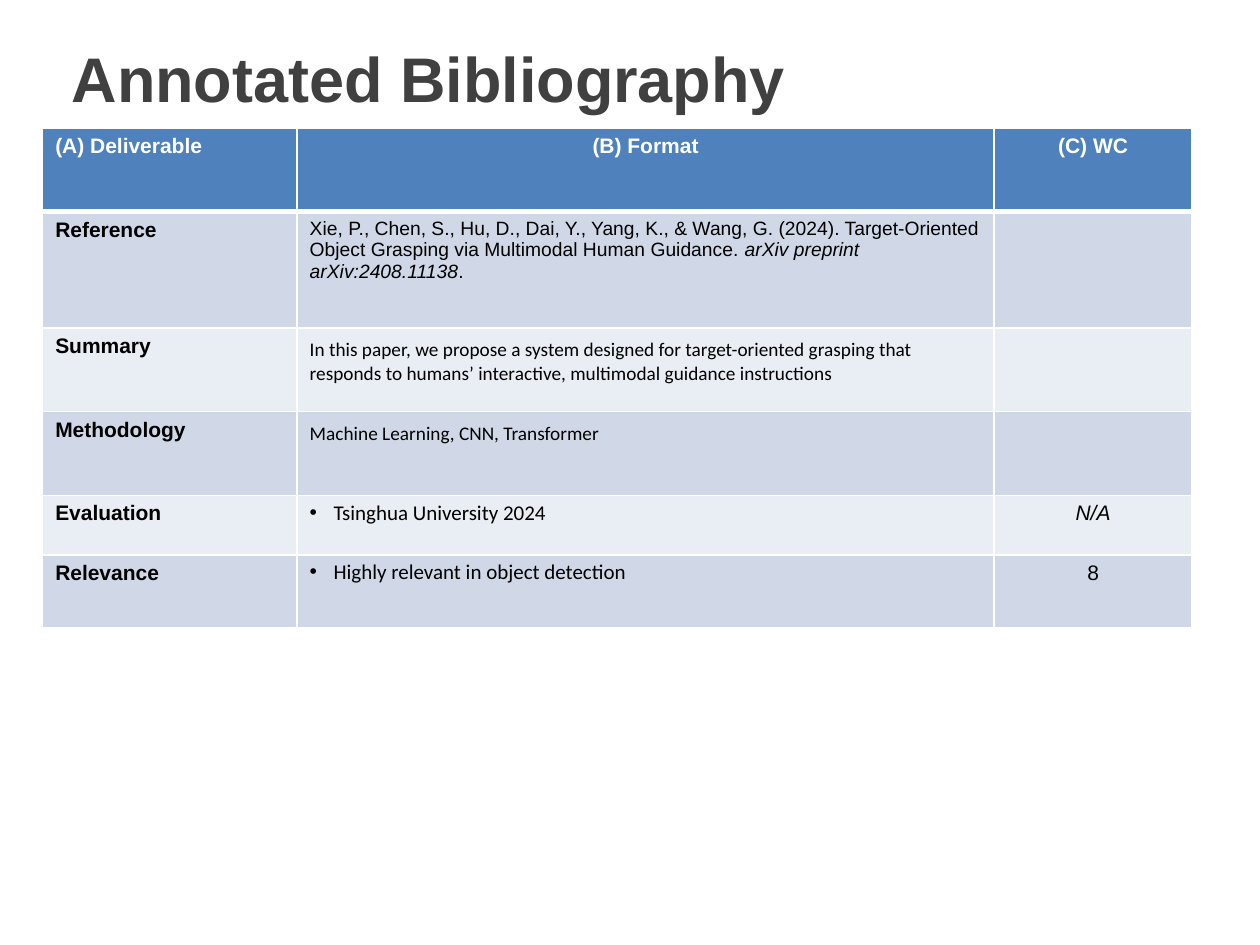
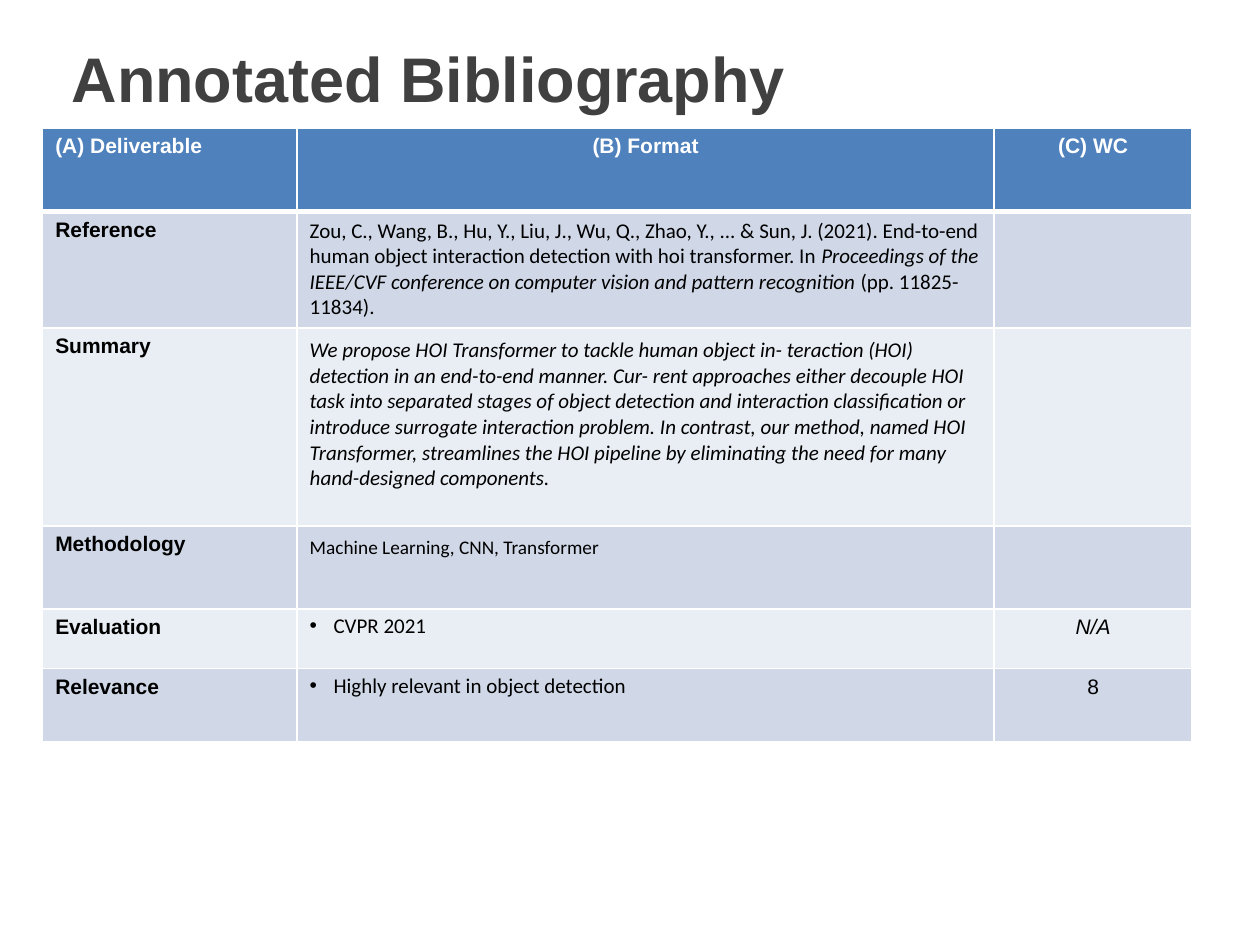
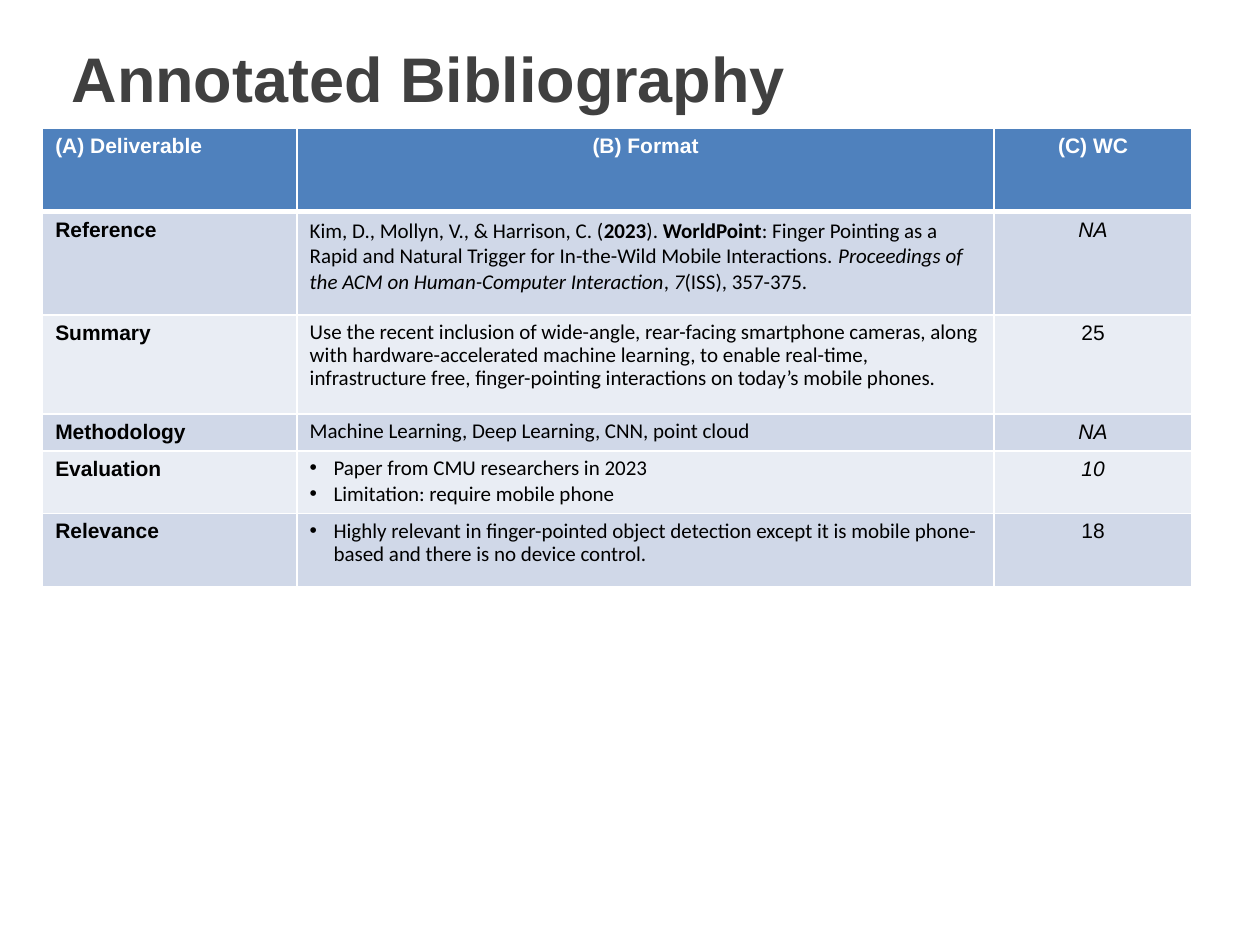
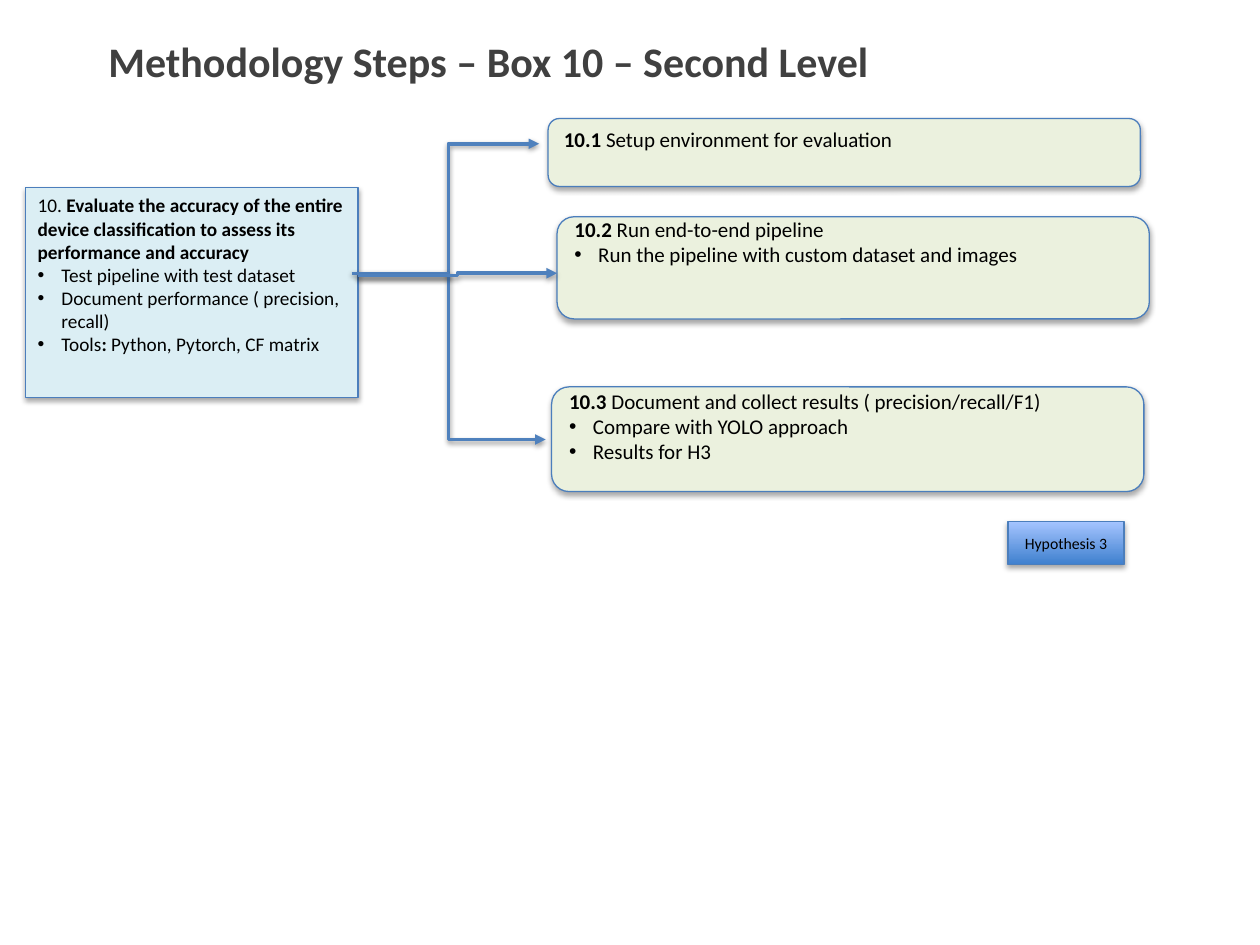
from pptx import Presentation
from pptx import util as u
from pptx.dml.color import RGBColor
from pptx.enum import shapes, text
from pptx.oxml import parse_xml
from pptx.oxml.ns import nsdecls

Cm, Pt = u.Cm, u.Pt
HUE = {
    "title": "404040", "text": "000000", "white": "FFFFFF",
    "head": "4F81BD", "odd": "D0D8E8", "even": "E9EDF4",
    "edge": "4B7EBC", "arrow": "4F81BD", "main": "DBEEF4",
    "step": "EBF1DE", "deep": "3F80CE", "pale": "A4C4FF",
}
ALIGN, ANCHOR, KIND = text.PP_ALIGN, text.MSO_ANCHOR, shapes.MSO_SHAPE
COLS = (5.13, 14.05, 3.99)
HEADS = ("(A) Deliverable", "(B) Format", "(C) WC")
LABELS = ("Reference", "Summary", "Methodology", "Evaluation", "Relevance")


def rgb(name):
    return RGBColor.from_string(HUE[name])


# ---- Text ----
def style(font, face, size, hue, marks=""):
    font.name, font.size = face, Pt(size)
    font.color.rgb = rgb(hue)
    font.bold, font.italic = "b" in marks, "i" in marks


def add_runs(para, runs, face="Calibri", size=12, hue="text"):
    """Each run is (words, marks); marks hold b for bold and i for italic."""
    for words, marks in runs:
        run = para.add_run()
        run.text = words
        style(run.font, face, size, hue, marks)


def add_bullet(para):
    props = para._p.get_or_add_pPr()
    props.set("marL", str(Cm(0.48)))
    props.set("indent", str(-Cm(0.48)))
    props.append(parse_xml(f'<a:buFont {nsdecls("a")} typeface="Arial"/>'))
    props.append(parse_xml(f'<a:buChar {nsdecls("a")} char="•"/>'))


def snug(para):
    para.line_spacing = 0.9
    para.space_after = Pt(1.8)


def next_para(frame, index):
    return frame.paragraphs[0] if index == 0 else frame.add_paragraph()


def add_title(page, words, left, top, face, size, anchor):
    title = page.shapes.title
    title.left, title.top = Cm(left), Cm(top)
    title.width, title.height = Cm(21.54), Cm(2.06)
    frame = title.text_frame
    frame.word_wrap, frame.auto_size = True, text.MSO_AUTO_SIZE.NONE
    frame.vertical_anchor = anchor
    para = frame.paragraphs[0]
    para.alignment = ALIGN.LEFT
    add_runs(para, [(words, "b")], face, size, "title")


# ---- Bibliography table ----
def paint(cell, hue, row):
    cell.fill.solid()
    cell.fill.fore_color.rgb = rgb(hue)
    props = cell._tc.get_or_add_tcPr()
    thick = {0: "B", 1: "T"}.get(row)
    for spot, side in enumerate("LRTB"):
        width = Pt(3 if side == thick else 1)
        props.insert(spot, parse_xml(
            f'<a:ln{side} {nsdecls("a")} w="{width}"><a:solidFill>'
            f'<a:srgbClr val="{HUE["white"]}"/></a:solidFill></a:ln{side}>'))


def fill_body(cell, kind, paras, face="Calibri", size=12):
    if kind == "pad":
        cell.margin_top = cell.margin_bottom = Cm(0.2)
    for i, runs in enumerate(paras):
        para = next_para(cell.text_frame, i)
        if kind in ("snug", "bullet"):
            snug(para)
        if kind == "bullet":
            add_bullet(para)
        add_runs(para, runs, face, size)


def add_paper(deck, highs, bodies, counts):
    page = deck.slides.add_slide(deck.slide_layouts[5])
    add_title(page, "Annotated Bibliography", 1.19, 0.53, "Arial", 36,
              ANCHOR.MIDDLE)
    grid = page.shapes.add_table(
        len(highs), len(COLS), Cm(0.86), Cm(2.59),
        Cm(sum(COLS)), Cm(sum(highs))).table
    for col, width in zip(grid.columns, COLS):
        col.width = Cm(width)
    for i, high in enumerate(highs):
        grid.rows[i].height = Cm(high)
        hue = "head" if i == 0 else "odd" if i % 2 else "even"
        for cell in grid.rows[i].cells:
            paint(cell, hue, i)
    # Header row
    for i, words in enumerate(HEADS):
        para = grid.cell(0, i).text_frame.paragraphs[0]
        para.alignment = ALIGN.CENTER if i else ALIGN.LEFT
        add_runs(para, [(words, "b")], "Arial", 12, "white")
    # Label, body and word count of each row
    for i, (label, body, count) in enumerate(zip(LABELS, bodies, counts), 1):
        add_runs(grid.cell(i, 0).text_frame.paragraphs[0],
                 [(label, "b")], "Arial")
        fill_body(grid.cell(i, 1), *body)
        if count:
            para = grid.cell(i, 2).text_frame.paragraphs[0]
            para.alignment = ALIGN.CENTER
            add_runs(para, [count], "Arial")


# ---- Method diagram ----
def add_shadow(shape, alpha, dist):
    shape._element.spPr.append(parse_xml(
        f'<a:effectLst {nsdecls("a")}><a:outerShdw blurRad="{Pt(3.1)}" '
        f'dist="{Pt(dist)}" dir="5400000" rotWithShape="0">'
        f'<a:srgbClr val="000000"><a:alpha val="{alpha * 1000}"/></a:srgbClr>'
        f'</a:outerShdw></a:effectLst>'))


def add_box(page, kind, box, hue, paras, size, anchor=ANCHOR.MIDDLE):
    """The first paragraph is plain; those after it are bullets."""
    shape = page.shapes.add_shape(kind, *map(Cm, box))
    if hue:
        shape.fill.solid()
        shape.fill.fore_color.rgb = rgb(hue)
    else:
        shape.fill.gradient()
        shape.fill.gradient_angle = 90
        for stop, name in zip(shape.fill.gradient_stops, ("deep", "pale")):
            stop.color.rgb = rgb(name)
    shape.line.color.rgb = rgb("edge")
    shape.line.width = Pt(0.75)
    add_shadow(shape, 35, 1.8)
    frame = shape.text_frame
    frame.word_wrap, frame.vertical_anchor = True, anchor
    for i, runs in enumerate(paras):
        para = next_para(frame, i)
        para.alignment = ALIGN.LEFT
        if i:
            add_bullet(para)
        add_runs(para, runs, size=size)
    return shape


def add_step(page, box, spare, paras):
    """Spare is the number of free lines kept below the text."""
    shape = add_box(page, KIND.ROUNDED_RECTANGLE, box, "step", paras, 12)
    shape.text_frame.margin_bottom = Cm(0.13 + 0.52 * spare)


def add_arrow(page, ends):
    link = page.shapes.add_connector(shapes.MSO_CONNECTOR.ELBOW,
                                     *map(Cm, ends))
    link.line.color.rgb = rgb("arrow")
    link.line.width = Pt(2)
    link.line._get_or_add_ln().append(
        parse_xml(f'<a:tailEnd {nsdecls("a")} type="triangle"/>'))
    add_shadow(link, 38, 1.6)


def add_method(deck):
    page = deck.slides.add_slide(deck.slide_layouts[5])
    add_title(page, "Methodology Steps – Box 10 – Second Level", 1.93, 0.58,
              "Calibri", 24, ANCHOR.TOP)
    # Main box
    add_box(page, KIND.RECTANGLE, (0.51, 3.78, 6.71, 4.24), "main", [
        [("10. ", ""), ("Evaluate the accuracy of the entire device "
                        "classification to assess its performance and "
                        "accuracy", "b")],
        [("Test pipeline with test dataset", "")],
        [("Document performance ( precision, recall)", "")],
        [("Tools", ""), (":", "b"), (" Python, Pytorch, CF matrix", "")],
    ], 11, ANCHOR.TOP)
    # Steps
    add_step(page, (11.05, 2.39, 11.94, 1.37), 1, [
        [("10.1 ", "b"), ("Setup environment for evaluation", "")]])
    add_step(page, (11.23, 4.37, 11.94, 2.06), 2, [
        [("10.2 ", "b"), ("Run end-to-end pipeline", "")],
        [("Run the pipeline with custom dataset and images", "")]])
    add_step(page, (11.12, 7.8, 11.94, 2.11), 1, [
        [("10.3", "b"),
         (" Document and collect results ( precision/recall/F1)", "")],
        [("Compare with YOLO approach", "")],
        [("Results for H3", "")]])
    # Arrows from the main box to the steps
    for ends in ((7.21, 5.56, 10.87, 2.9), (7.09, 5.51, 11, 8.86),
                 (7.21, 5.56, 11.23, 5.51)):
        add_arrow(page, ends)
    # Hypothesis tag
    tag = add_box(page, KIND.RECTANGLE, (20.32, 10.52, 2.34, 0.86), None,
                  [[("Hypothesis 3", "")]], 9)
    tag.text_frame.paragraphs[0].alignment = ALIGN.CENTER


# ---- Contents ----
METHOD = ("pad", [[("Machine Learning, CNN, Transformer", "")]],
          "Calibri", 11)
DETECT = ("bullet", [[("Highly relevant in object detection", "")]])
COUNTS = (None, None, None, ("N/A", "i"), ("8", ""))

GRASP = [
    ("plain", [[
        ("Xie, P., Chen, S., Hu, D., Dai, Y., Yang, K., & Wang, G. (2024). "
         "Target-Oriented Object Grasping via Multimodal Human Guidance. ",
         ""),
        ("arXiv preprint arXiv:2408.11138", "i"), (".", "")]], "Arial", 11),
    ("pad", [[
        ("In this paper, we propose a system designed for target-oriented "
         "grasping that responds to humans’ interactive, multimodal guidance "
         "instructions", "")]], "Calibri", 11),
    METHOD,
    ("bullet", [[("Tsinghua University 2024", "")]]),
    DETECT,
]
HOI = [
    ("plain", [[
        ("Zou, C., Wang, B., Hu, Y., Liu, J., Wu, Q., Zhao, Y., ... & Sun, J. "
         "(2021). End-to-end human object interaction detection with hoi "
         "transformer. In ", ""),
        ("Proceedings of the IEEE/CVF conference on computer vision and "
         "pattern recognition", "i"),
        (" (pp. 11825-11834).", "")]]),
    ("pad", [[
        ("We propose HOI Transformer to tackle human object in- teraction "
         "(HOI) detection in an end-to-end manner. Cur- rent approaches "
         "either decouple HOI task into separated stages of object detection "
         "and interaction classification or introduce surrogate interaction "
         "problem. In contrast, our method, named HOI Transformer, "
         "streamlines the HOI pipeline by eliminating the need for many "
         "hand-designed components.", "i")]]),
    METHOD,
    ("bullet", [[("CVPR 2021", "")]]),
    DETECT,
]
POINT = [
    ("plain", [[
        ("Kim, D., Mollyn, V., & Harrison, C. (", ""), ("2023", "b"),
        ("). ", ""), ("WorldPoint", "b"),
        (": Finger Pointing as a Rapid and Natural Trigger for In-the-Wild "
         "Mobile Interactions. ", ""),
        ("Proceedings of the ACM on Human-Computer Interaction", "i"),
        (", ", ""), ("7", "i"), ("(ISS), 357-375.", "")]]),
    ("snug", [[
        ("Use the recent inclusion of wide-angle, rear-facing smartphone "
         "cameras, along with hardware-accelerated machine learning, to "
         "enable real-time, infrastructure free, finger-pointing "
         "interactions on today’s mobile phones.", "")]]),
    ("snug", [[("Machine Learning, Deep Learning, CNN, point cloud", "")]]),
    ("bullet", [[("Paper from CMU researchers in 2023", "")],
                [("Limitation: require mobile phone", "")]]),
    ("bullet", [[
        ("Highly relevant in finger-pointed object detection except it is "
         "mobile phone-based and there is no device control.", "")]]),
]


def main():
    deck = Presentation()
    deck.slide_width, deck.slide_height = Cm(25.4), Cm(19.05)
    add_paper(deck, (1.68, 2.34, 1.69, 1.69, 1.2, 1.47), GRASP, COUNTS)
    add_paper(deck, (1.68, 2.34, 3.99, 1.68, 1.2, 1.47), HOI, COUNTS)
    add_paper(deck, (1.68, 2.08, 2, 0.74, 1.26, 1.47), POINT,
              (("NA", "i"), ("25", ""), ("NA", "i"), ("10", "i"), ("18", "")))
    add_method(deck)
    deck.save("out.pptx")


if __name__ == "__main__":
    main()
